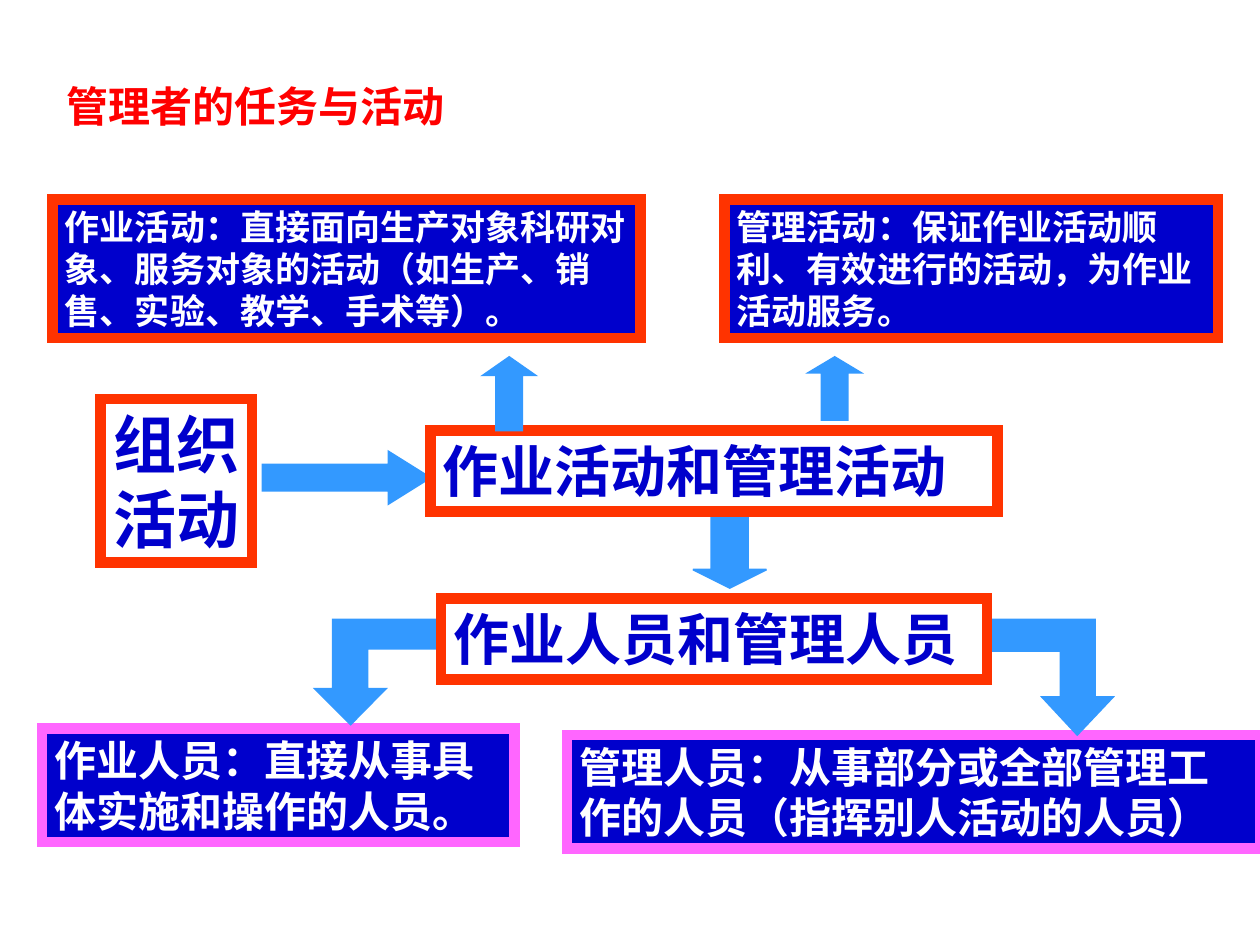
from lxml import etree
from pptx import Presentation
from pptx import util as u
from pptx.dml import color
from pptx.enum import shapes, text
from pptx.oxml import ns

COLUMNS, ROWS = 120, 90
CELL = u.Inches(10) // COLUMNS
FONT = "Times New Roman"
BLUE, SKY, WHITE = "0000CC", "3399FF", "FFFFFF"
ORANGE, PINK, RED = "FF3300", "FF66FF", "FF0000"


def grid(*cells):
    """Turn grid columns and rows into lengths."""
    return [u.Emu(round(cell * CELL)) for cell in cells]


def rgb(value):
    """Turn a hex string into a colour."""
    return color.RGBColor.from_string(value)


def paint(shape, fill, line, width):
    """Set the fill and sharp-cornered outline of a shape without shadow."""
    shape.shadow.inherit = False
    if fill:
        shape.fill.solid()
        shape.fill.fore_color.rgb = rgb(fill)
    else:
        shape.fill.background()
    shape.line.color.rgb = rgb(line)
    shape.line.width = u.Pt(width)
    outline = shape._element.spPr.find(ns.qn("a:ln"))
    etree.SubElement(outline, ns.qn("a:miter"), lim="800000")


def write(frame, lines, size, ink, wrap=True):
    """Fill a text frame with bold paragraphs without hanging punctuation."""
    frame.word_wrap = wrap
    for index, line in enumerate(lines):
        paragraph = frame.add_paragraph() if index else frame.paragraphs[0]
        paragraph.alignment = text.PP_ALIGN.LEFT
        paragraph._p.get_or_add_pPr().set("hangingPunct", "0")
        run = paragraph.add_run()
        run.text = line
        run.font.name = FONT
        run.font.size = u.Pt(size)
        run.font.bold = True
        run.font.color.rgb = rgb(ink)


def add_box(slide, place, lines, size, border=ORANGE, fill=None, wrap=True):
    """Add a thickly framed box of text."""
    shape = slide.shapes.add_shape(shapes.MSO_SHAPE.RECTANGLE, *grid(*place))
    paint(shape, fill, border, 6)
    write(shape.text_frame, lines, size, WHITE if fill else BLUE, wrap)
    shape.text_frame.vertical_anchor = text.MSO_ANCHOR.TOP
    shape.text_frame.auto_size = text.MSO_AUTO_SIZE.SHAPE_TO_FIT_TEXT


def add_arrow(slide, kind, place, head):
    """Add a straight block arrow with a given head length."""
    shape = slide.shapes.add_shape(kind, *grid(*place))
    shape.adjustments[0] = 0.5
    shape.adjustments[1] = head
    paint(shape, SKY, SKY, 1)


def add_elbow(slide, start, side, inner, neck, tip):
    """Add an arrow that leaves sideways (side 1 or -1) and turns down."""
    top = 59
    outline = [(0, inner), (7, inner), (7, neck), (5.25, neck), (8.6, tip),
               (12, neck), (10.3, neck), (10.3, top), (0, top)]
    points = [tuple(grid(start + side * x, y)) for x, y in outline]
    builder = slide.shapes.build_freeform(*points[0])
    builder.add_line_segments(points[1:], close=True)
    paint(builder.convert_to_shape(), SKY, SKY, 1)


def add_title(slide, place, title):
    """Add the red slide title."""
    frame = slide.shapes.add_textbox(*grid(*place)).text_frame
    write(frame, [title], 24, RED, wrap=False)
    frame.vertical_anchor = text.MSO_ANCHOR.MIDDLE


def main():
    """Build the slide and save it."""
    presentation = Presentation()
    presentation.slide_width, presentation.slide_height = grid(COLUMNS, ROWS)
    slide = presentation.slides.add_slide(presentation.slide_layouts[6])
    preset = shapes.MSO_SHAPE

    add_box(slide, (9.6, 38, 14.4, 15.6), ["组织", "活动"], 36, wrap=False)
    add_arrow(slide, preset.RIGHT_ARROW, (25, 43, 16, 5), 0.8)
    add_arrow(slide, preset.DOWN_ARROW, (66, 49, 7, 7), 0.25)
    add_box(slide, (41, 41, 54, 7.7), ["作业活动和管理活动"], 32)
    add_box(slide, (69, 19, 47, 13.2),
            ["管理活动：保证作业活动顺利、有效进行的活动，为作业活动服务。"], 20, fill=BLUE)
    add_arrow(slide, preset.UP_ARROW, (46, 34, 5, 7), 0.35)
    add_arrow(slide, preset.UP_ARROW, (77, 34, 5, 6), 0.3)
    add_box(slide, (5, 19, 56, 13.2),
            ["作业活动：直接面向生产对象科研对象、服务对象的活动（如生产、销售、实验、教学、手术等）。"],
            20, fill=BLUE)
    add_box(slide, (4, 69.4, 45, 10.8),
            ["作业人员：直接从事具体实施和操作的人员。"], 24, PINK, BLUE)
    add_box(slide, (54, 70, 66, 10.8),
            ["管理人员：从事部分或全部管理工作的人员（指挥别人活动的人员）"], 24, PINK, BLUE)
    add_elbow(slide, 94, 1, 62, 66.4, 70)
    add_elbow(slide, 42, -1, 61.8, 65.6, 69)
    add_box(slide, (42, 57, 52, 7.7), ["作业人员和管理人员"], 32)
    add_title(slide, (5.2, 5.3, 45.4, 9.5), "管理者的任务与活动")
    presentation.save("out.pptx")


if __name__ == "__main__":
    main()
